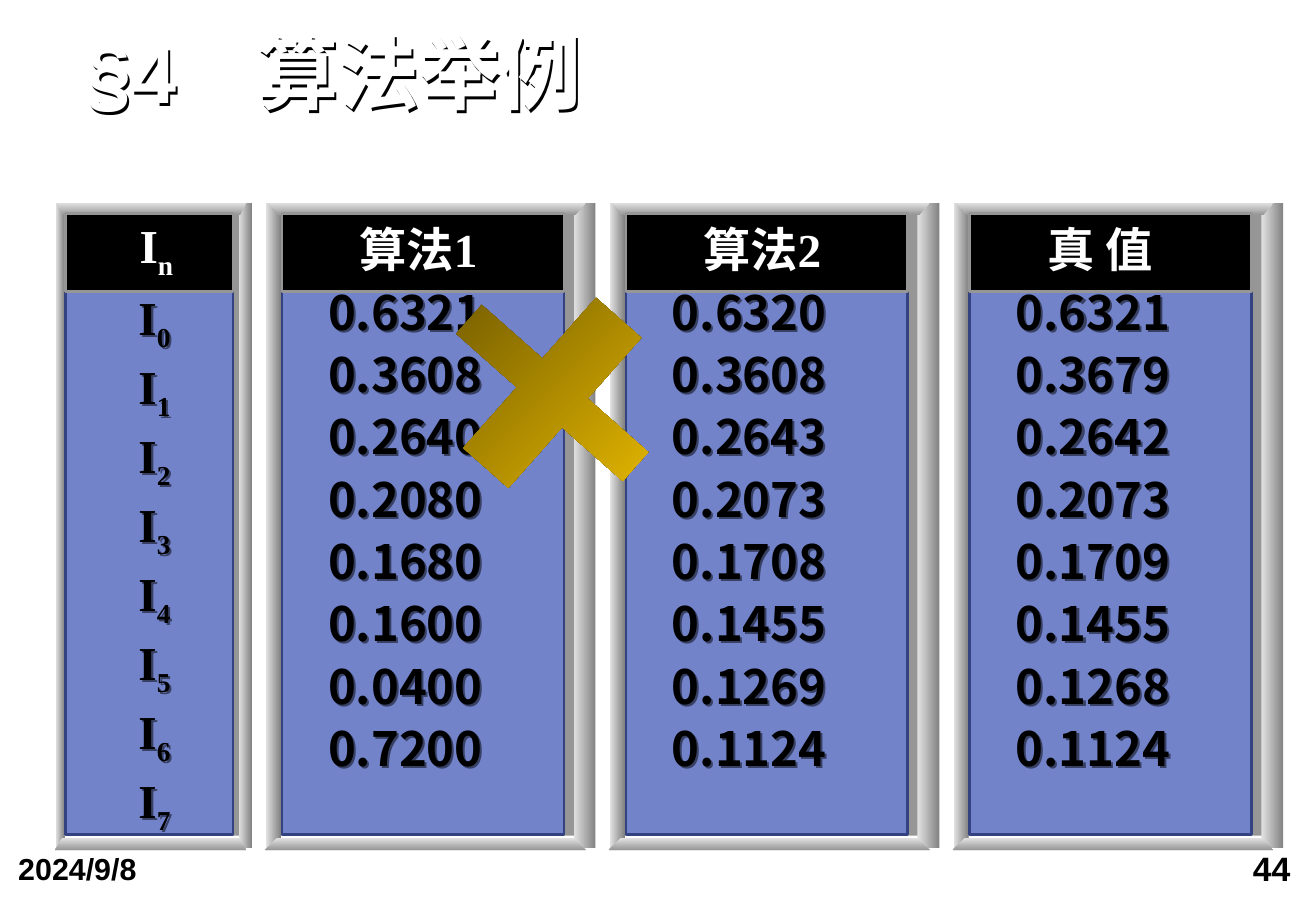
from dataclasses import dataclass

from lxml.etree import SubElement as Sub
from pptx import Presentation
from pptx.dml.color import RGBColor as Rgb
from pptx.enum.shapes import MSO_SHAPE as Shp
from pptx.enum.text import MSO_ANCHOR as Anc, PP_ALIGN as Aln
from pptx.oxml.ns import qn
from pptx.util import Inches, Pt

HEX = {
    "ink": "000000", "white": "FFFFFF", "steel": "969696", "light": "E2E2E2",
    "dark": "838383", "blue": "7283CA", "navy": "354281",
    "bronze": "5A4800", "gold": "FFCC00",
}
SANS, SERIF, HAN = "Arial", "Times New Roman", "Noto Sans CJK SC"
TOP, STEP = 1.67, 2.83


@dataclass
class Run:
    text: str
    size: float = 28
    font: str = SERIF
    color: str = "ink"
    sub: bool = False


@dataclass
class Panel:
    left: float
    scale: float
    head: list[Run]
    head_x: float
    head_w: float
    rows: list[list[Run]]
    rows_x: float
    rows_w: float


def rgb(name: str) -> Rgb:
    return Rgb.from_string(HEX[name])


def add_run(para, item: Run) -> None:
    run = para.add_run()
    run.text = item.text
    font = run.font
    font.size, font.bold, font.name = Pt(item.size), True, item.font
    font.color.rgb = rgb(item.color)
    props = run._r.get_or_add_rPr()
    if item.sub:
        props.set("baseline", "-25000")
    east = Sub(props, qn("a:ea"), typeface=HAN)
    props.find(qn("a:latin")).addnext(east)


def add_text(shapes, box: tuple, rows: list[list[Run]], pad: tuple = (0, 0),
             anchor=Anc.TOP, align=Aln.LEFT, line: float = 1, gap: float = 0,
             shade: int = 0) -> None:
    shape = shapes.add_textbox(*map(Inches, box))
    if shade:
        fx = Sub(shape._element.spPr, qn("a:effectLst"))
        cast = Sub(fx, qn("a:outerShdw"), dist="22000", dir="2700000")
        tone = Sub(cast, qn("a:srgbClr"), val=HEX["ink"])
        Sub(tone, qn("a:alpha"), val=str(shade * 1000))
    frame = shape.text_frame
    frame.word_wrap, frame.vertical_anchor = True, anchor
    frame.margin_left = frame.margin_right = Inches(pad[0])
    frame.margin_top = frame.margin_bottom = Inches(pad[1])
    for i, row in enumerate(rows):
        para = frame.add_paragraph() if i else frame.paragraphs[0]
        para.alignment, para.line_spacing = align, line
        para.space_before = Pt(gap if i else 0)
        for item in row:
            add_run(para, item)


def blend(shape, start: str, end: str, angle: float) -> None:
    shape.shadow.inherit = False
    shape.line.fill.background()
    shape.fill.gradient()
    shape.fill.gradient_angle = (360 - angle) % 360
    for stop, name, pos in zip(shape.fill.gradient_stops, (start, end), (0, 1)):
        stop.color.rgb, stop.position = rgb(name), pos


def add_box(shapes, box: tuple, fill: str, line: str = "") -> None:
    shape = shapes.add_shape(Shp.RECTANGLE, *map(Inches, box))
    shape.shadow.inherit = False
    shape.fill.solid()
    shape.fill.fore_color.rgb = rgb(fill)
    if line:
        shape.line.color.rgb = rgb(line)
        shape.line.width = Pt(1.5)
    else:
        shape.line.fill.background()


def add_edge(shapes, points: list[tuple]) -> None:
    spots = [(Inches(x), Inches(y)) for x, y in points]
    pen = shapes.build_freeform(*spots[0])
    pen.add_line_segments(spots[1:], close=True)
    blend(pen.convert_to_shape(), "light", "steel", 90)


def add_panel(slide, item: Panel) -> None:
    shapes = slide.shapes.add_group_shape().shapes

    def at(dx: float) -> float:
        return item.left + dx * item.scale

    # Bevelled frame
    add_box(shapes, (at(0.08), 1.75, 2.55 * item.scale, 5.13), "steel")
    for dx, wide in ((0, 0.12), (2.53, 0.18)):
        bar = shapes.add_shape(Shp.RECTANGLE, *map(
            Inches, (at(dx), TOP, wide * item.scale, 5.31)))
        blend(bar, "light", "dark", 0)
    for outer, inner, xs in ((TOP, 1.77, (0.02, 0.11, 2.54, 2.63)),
                             (7, 6.9, (-0.01, 0.09, 2.53, 2.63))):
        ys = (outer, inner, inner, outer)
        add_edge(shapes, [(at(x), y) for x, y in zip(xs, ys)])

    # Body and heading
    wide = 2.32 * item.scale
    add_box(shapes, (at(0.13), 2.29, wide, 4.58), "blue", "navy")
    add_box(shapes, (at(0.13), 1.76, wide, 0.64), "ink", "steel")
    add_text(shapes, (item.left + item.head_x, 1.76, item.head_w, 0.57),
             [item.head], (0.1, 0.05), Anc.MIDDLE)
    add_text(shapes, (item.left + item.rows_x, 2.4, item.rows_w, 4.17),
             item.rows, line=0.85, gap=8.4, shade=50)


def main() -> None:
    deck = Presentation()
    deck.slide_width, deck.slide_height = Inches(10.83), Inches(7.5)
    slide = deck.slides.add_slide(deck.slide_layouts[6])
    shapes = slide.shapes

    # Footer and title
    add_text(shapes, (8.01, 6.92, 2.74, 0.58), [[Run("44", 20, SANS)]],
             (0.13, 0.06), align=Aln.RIGHT)
    add_text(shapes, (0.02, 6.94, 2.51, 0.63), [[Run("2024/9/8", 18, SANS)]],
             (0.13, 0.06))
    add_text(shapes, (0.71, 0.28, 9.65, 0.72),
             [[Run("§4　算法举例", 48, SANS, "white")]],
             anchor=Anc.BOTTOM, line=0.9, shade=100)

    # Index panel
    marks = [[Run("I"), Run(str(n), sub=True)] for n in range(8)]
    head = [Run("I", color="white"), Run("n", color="white", sub=True)]
    add_panel(slide, Panel(0.46, 0.595, head, 0.59, 0.97, marks, 0.68, 0.8))

    # Value panels
    data = {
        "算法1": "0.6321 0.3608 0.2640 0.2080 0.1680 0.1600 0.0400 0.7200",
        "算法2": "0.6320 0.3608 0.2643 0.2073 0.1708 0.1455 0.1269 0.1124",
        "真 值": "0.6321 0.3679 0.2642 0.2073 0.1709 0.1455 0.1268 0.1124",
    }
    for i, (name, values) in enumerate(data.items()):
        rows = [[Run(v, font=HAN)] for v in values.split()]
        add_panel(slide, Panel(2.19 + STEP * i, 1, [Run(name, color="white")],
                               0.67, 1.63, rows, 0.51, 2.1))

    # Cross over the failed method
    cross = shapes.add_shape(Shp.CROSS, *map(Inches, (3.72, 2.32, 1.65, 1.83)))
    cross.adjustments[0] = 0.404
    cross.rotation = 311.5
    blend(cross, "bronze", "gold", 45)
    cross._element.spPr.find(qn("a:gradFill")).set("rotWithShape", "0")

    deck.save("out.pptx")


if __name__ == "__main__":
    main()
